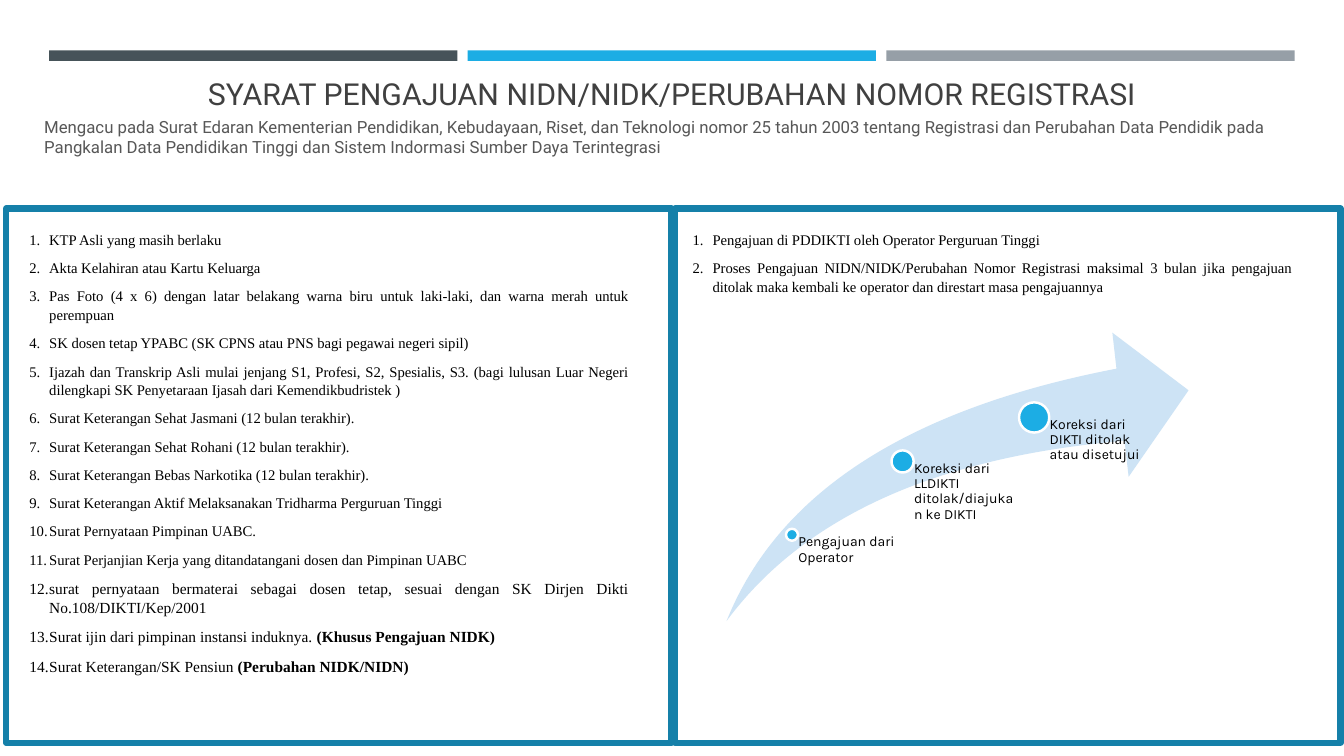
from pptx import Presentation
from pptx.dml.color import RGBColor
from pptx.enum.shapes import MSO_SHAPE as SHAPE
from pptx.enum.text import MSO_ANCHOR, PP_ALIGN
from pptx.util import Pt
from lxml import etree

COLORS = {
    "slate": "465359", "blue": "1CADE4", "grey": "969FA7", "frame": "1580A9",
    "swoosh": "CDE3F5", "white": "FFFFFF", "title": "404040",
    "subtitle": "575757", "black": "000000",
}
A_NS = "{http://schemas.openxmlformats.org/drawingml/2006/main}"

# Each item is its text size followed by the plain text and an optional bold ending
REQUIREMENTS = [
    (10.5, "KTP Asli yang masih berlaku"),
    (10.5, "Akta Kelahiran atau Kartu Keluarga"),
    (10.5, "Pas Foto (4 x 6) dengan latar belakang warna biru untuk laki-laki, "
           "dan warna merah untuk perempuan"),
    (10.5, "SK dosen tetap YPABC (SK CPNS atau PNS bagi pegawai negeri sipil)"),
    (10.5, "Ijazah dan Transkrip Asli mulai jenjang S1, Profesi, S2, Spesialis, S3. "
           "(bagi lulusan Luar Negeri dilengkapi SK Penyetaraan Ijasah dari "
           "Kemendikbudristek )"),
    (10.5, "Surat Keterangan Sehat Jasmani (12 bulan terakhir)."),
    (10.5, "Surat Keterangan Sehat Rohani (12 bulan terakhir)."),
    (10.5, "Surat Keterangan Bebas Narkotika (12 bulan terakhir)."),
    (10.5, "Surat Keterangan Aktif Melaksanakan Tridharma Perguruan Tinggi"),
    (10.5, "Surat Pernyataan Pimpinan UABC."),
    (10.5, "Surat Perjanjian Kerja yang ditandatangani dosen dan Pimpinan UABC"),
    (11, "surat pernyataan bermaterai sebagai dosen tetap, sesuai dengan "
         "SK Dirjen Dikti No.108/DIKTI/Kep/2001"),
    (11, "Surat ijin dari pimpinan instansi induknya. ", "(Khusus Pengajuan NIDK)"),
    (11, "Surat Keterangan/SK Pensiun ", "(Perubahan NIDK/NIDN)"),
]
PROCEDURE = [
    (10.5, "Pengajuan di PDDIKTI oleh Operator Perguruan Tinggi"),
    (10.5, "Proses Pengajuan NIDN/NIDK/Perubahan Nomor Registrasi maksimal 3 bulan "
           "jika pengajuan ditolak maka kembali ke operator dan direstart masa "
           "pengajuannya"),
]


def add_plain_shape(kind, left, top, width, height, fill=None, line=None, weight=1):
    sp = s.shapes.add_shape(kind, Pt(left), Pt(top), Pt(width), Pt(height))
    sp.shadow.inherit = False
    if fill:
        sp.fill.solid()
        sp.fill.fore_color.rgb = RGBColor.from_string(COLORS[fill])
    else:
        sp.fill.background()
    if line:
        sp.line.color.rgb = RGBColor.from_string(COLORS[line])
        sp.line.width = Pt(weight)
    else:
        sp.line.fill.background()
    return sp


def format_run(r, font, size, color, bold=False):
    r.font.name = font
    r.font.size = Pt(size)
    r.font.bold = bold
    r.font.color.rgb = RGBColor.from_string(COLORS[color])


prs = Presentation()
prs.slide_width, prs.slide_height = Pt(960), Pt(540)
s = prs.slides.add_slide(prs.slide_layouts[5])

# Header bars
for i, color in enumerate(["slate", "blue", "grey"]):
    add_plain_shape(SHAPE.RECTANGLE, 35.1 + 299 * i, 36, 291.6, 7.5, color)

# Title and subtitle
title = s.shapes.title
title.left, title.top, title.width, title.height = Pt(46), Pt(49), Pt(868), Pt(34.5)
tf = title.text_frame
tf.text = "SYARAT PENGAJUAN NIDN/NIDK/PERUBAHAN NOMOR REGISTRASI"
tf.vertical_anchor = MSO_ANCHOR.BOTTOM
tf.paragraphs[0].alignment = PP_ALIGN.CENTER
format_run(tf.paragraphs[0].runs[0], "Roboto", 21.6, "title")

subtitle = s.shapes.add_textbox(Pt(24.5), Pt(80), Pt(906), Pt(36))
tf = subtitle.text_frame
tf.word_wrap = True
tf.text = ("Mengacu pada Surat Edaran Kementerian Pendidikan, Kebudayaan, Riset, dan "
           "Teknologi nomor 25 tahun 2003 tentang Registrasi dan Perubahan Data "
           "Pendidik pada Pangkalan Data Pendidikan Tinggi dan Sistem Indormasi "
           "Sumber Daya Terintegrasi")
format_run(tf.paragraphs[0].runs[0], "Roboto", 12, "subtitle")

# Framed panels with numbered lists
for panel_left, list_left, list_height, items in [
    (4.5, -42.5, 338.5, REQUIREMENTS),
    (482.3, 431.3, 72.5, PROCEDURE),
]:
    add_plain_shape(SHAPE.RECTANGLE, panel_left, 149, 475.2, 381.6,
                    line="frame", weight=4.5)
    box = s.shapes.add_textbox(Pt(list_left), Pt(160.6), Pt(499), Pt(list_height))
    tf = box.text_frame
    tf.word_wrap = True
    for i, (size, *parts) in enumerate(items):
        p = tf.paragraphs[0] if i == 0 else tf.add_paragraph()
        p.alignment = PP_ALIGN.JUSTIFY
        p.space_before = Pt(7 if i else 0)
        p.line_spacing = 1.05
        for j, part in enumerate(parts):
            r = p.add_run()
            r.text = part
            format_run(r, "Times New Roman", size, "black", bold=j == 1)
        pPr = p._p.get_or_add_pPr()
        pPr.set("marL", str(Pt(70.6)))
        pPr.set("indent", str(Pt(-14.2)))
        etree.SubElement(pPr, A_NS + "buFont", typeface="+mj-lt")
        etree.SubElement(pPr, A_NS + "buAutoNum", type="arabicPeriod")

# Approval path: each label starts at the centre of its dot
swoosh = add_plain_shape(SHAPE.SWOOSH_ARROW, 519, 237.6, 330, 206, "swoosh")
swoosh.adjustments[0] = 0.25
swoosh.adjustments[1] = 0.25

for x, y, diameter, width, height, label in [
    (565.7, 382, 8.6, 77, 60, "Pengajuan dari Operator"),
    (644.7, 329.6, 15.8, 79.2, 112, "Koreksi dari LLDIKTI ditolak/diajukan ke DIKTI"),
    (738.7, 298.2, 21.6, 79.2, 143, "Koreksi dari DIKTI ditolak atau disetujui"),
]:
    add_plain_shape(SHAPE.OVAL, x - diameter / 2, y - diameter / 2, diameter, diameter,
                    "blue", "white", 1.75)
    box = s.shapes.add_textbox(Pt(x), Pt(y), Pt(width), Pt(height))
    tf = box.text_frame
    tf.word_wrap = True
    tf.margin_left = Pt(diameter / 2 + 0.3)
    tf.margin_top = tf.margin_right = tf.margin_bottom = 0
    tf.text = label
    tf.paragraphs[0].line_spacing = 0.9
    format_run(tf.paragraphs[0].runs[0], "Karla", 10, "black")

prs.save("out.pptx")
